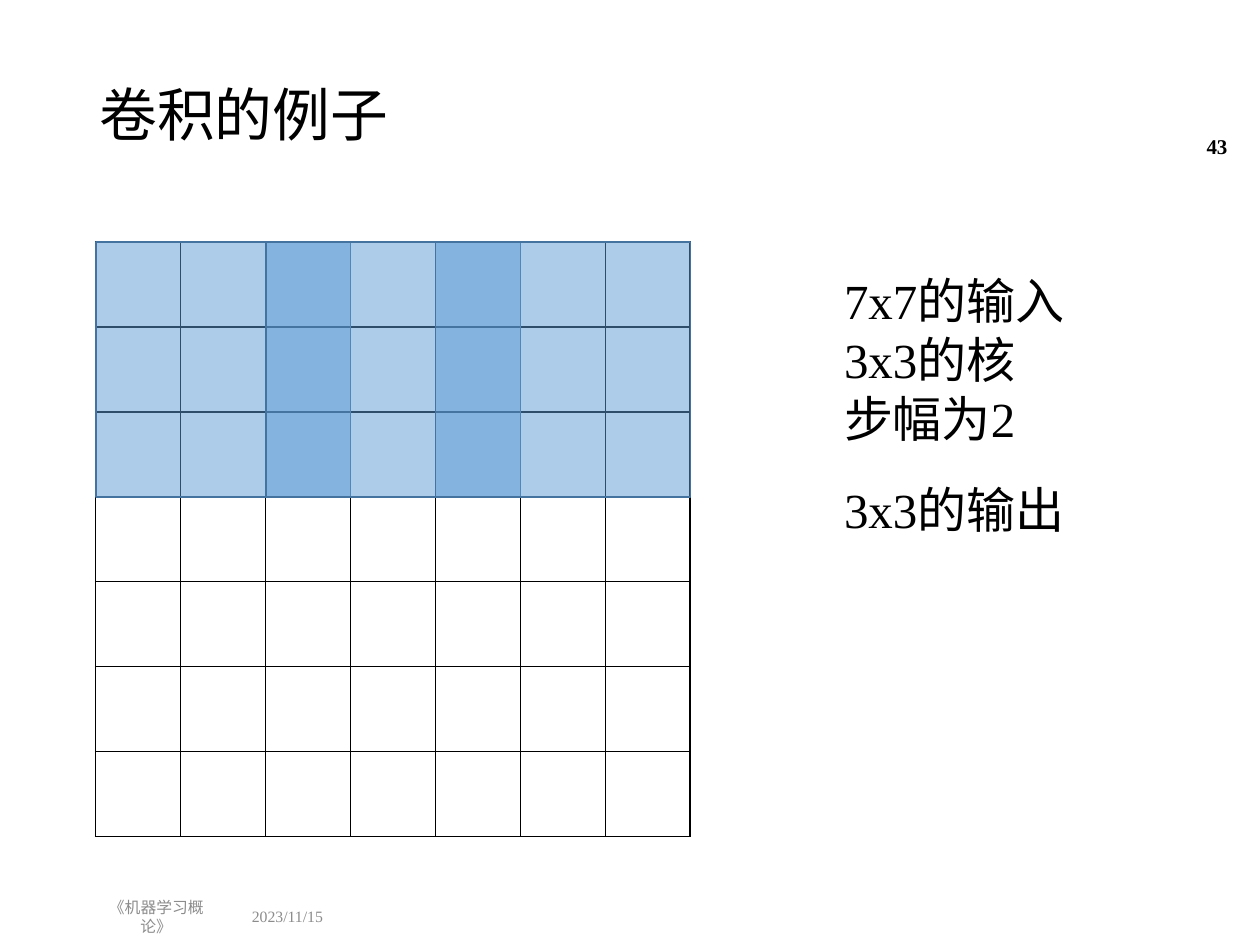
import dataclasses

import lxml.etree
import pptx
import pptx.dml.color
import pptx.enum.shapes
import pptx.enum.text
import pptx.oxml.ns
import pptx.util

Inches = pptx.util.Inches
Pt = pptx.util.Pt
qn = pptx.oxml.ns.qn
Align = pptx.enum.text.PP_ALIGN
Anchor = pptx.enum.text.MSO_ANCHOR


def rgb(code):
    return pptx.dml.color.RGBColor.from_string(code)


@dataclasses.dataclass(frozen=True)
class Theme:
    font: str = "Times New Roman"
    ink: str = "000000"
    muted: str = "8C8C8C"
    window_fill: str = "5B9BD5"
    window_line: str = "43739E"
    window_alpha: int = 50
    line_width: float = 1
    title: float = 33
    body: float = 28
    page_number: float = 12
    footer: float = 9


class SlideBuilder:
    def __init__(self, slide, theme):
        self.slide = slide
        self.theme = theme

    def text(self, box, content, size, color=None, align=Align.LEFT,
             anchor=Anchor.MIDDLE, bold=False, line_spacing=1.0):
        frame = self.slide.shapes.add_textbox(*map(Inches, box)).text_frame
        frame.word_wrap = True
        frame.vertical_anchor = anchor
        frame.text = content
        for paragraph in frame.paragraphs:
            paragraph.alignment = align
            paragraph.line_spacing = line_spacing
            for run in paragraph.runs:
                run.font.name = self.theme.font
                run.font.size = Pt(size)
                run.font.bold = bold
                run.font.color.rgb = rgb(color or self.theme.ink)

    def grid(self, left, top, side, count):
        """Add an empty square table with ruled, unfilled cells."""
        table = self.slide.shapes.add_table(
            count, count, *map(Inches, (left, top, side, side))).table
        table.first_row = table.horz_banding = False
        for band in (*table.columns, ):
            band.width = Inches(side / count)
        for band in table.rows:
            band.height = Inches(side / count)
        for cell in table.iter_cells():
            cell.fill.background()
            self.rule_cell(cell)

    def rule_cell(self, cell):
        properties = cell._tc.get_or_add_tcPr()
        for position, edge in enumerate(("lnL", "lnR", "lnT", "lnB")):
            line = lxml.etree.Element(
                qn(f"a:{edge}"), w=str(Pt(self.theme.line_width)))
            solid = lxml.etree.SubElement(line, qn("a:solidFill"))
            lxml.etree.SubElement(solid, qn("a:srgbClr"), val=self.theme.ink)
            properties.insert(position, line)

    def window(self, left, top, width, height):
        """Add a translucent kernel position over the grid."""
        window = self.slide.shapes.add_shape(
            pptx.enum.shapes.MSO_SHAPE.RECTANGLE,
            *map(Inches, (left, top, width, height)))
        window.shadow.inherit = False
        window.fill.solid()
        window.fill.fore_color.rgb = rgb(self.theme.window_fill)
        color = window._element.spPr.find(
            f"{qn('a:solidFill')}/{qn('a:srgbClr')}")
        lxml.etree.SubElement(
            color, qn("a:alpha"), val=str(self.theme.window_alpha * 1000))
        window.line.color.rgb = rgb(self.theme.window_line)
        window.line.width = Pt(self.theme.line_width)


def main():
    presentation = pptx.Presentation()
    presentation.slide_width = Inches(10)
    presentation.slide_height = Inches(7.5)
    slide = presentation.slides.add_slide(presentation.slide_layouts[6])
    theme = Theme()
    builder = SlideBuilder(slide, theme)

    builder.text((0.69, 0.4, 8.62, 1.07), "卷积的例子", theme.title,
                 line_spacing=0.9)
    builder.text((1.9, 7.13, 0.91, 0.29), "2023/11/15", theme.footer,
                 theme.muted)
    builder.text((0.69, 7.13, 1.1, 0.29), "《机器学习概论》", theme.footer,
                 theme.muted, Align.CENTER)
    builder.text((9.15, 0.96, 0.69, 0.4), "43", theme.page_number,
                 align=Align.RIGHT, bold=True)

    grid_left, grid_top, grid_side = 0.76, 1.92, 4.72
    input_size, kernel_size, stride = 7, 3, 2
    cell_side = grid_side / input_size
    builder.grid(grid_left, grid_top, grid_side, input_size)
    for start in range(0, input_size - kernel_size + 1, stride):
        builder.window(grid_left + start * cell_side, grid_top,
                       kernel_size * cell_side, kernel_size * cell_side)

    builder.text((6.6, 2.1, 3.15, 1.51), "7x7的输入\n3x3的核\n步幅为2",
                 theme.body, anchor=Anchor.TOP)
    builder.text((6.6, 3.76, 3.15, 0.57), "3x3的输出", theme.body,
                 anchor=Anchor.TOP)

    presentation.save("out.pptx")


if __name__ == "__main__":
    main()
